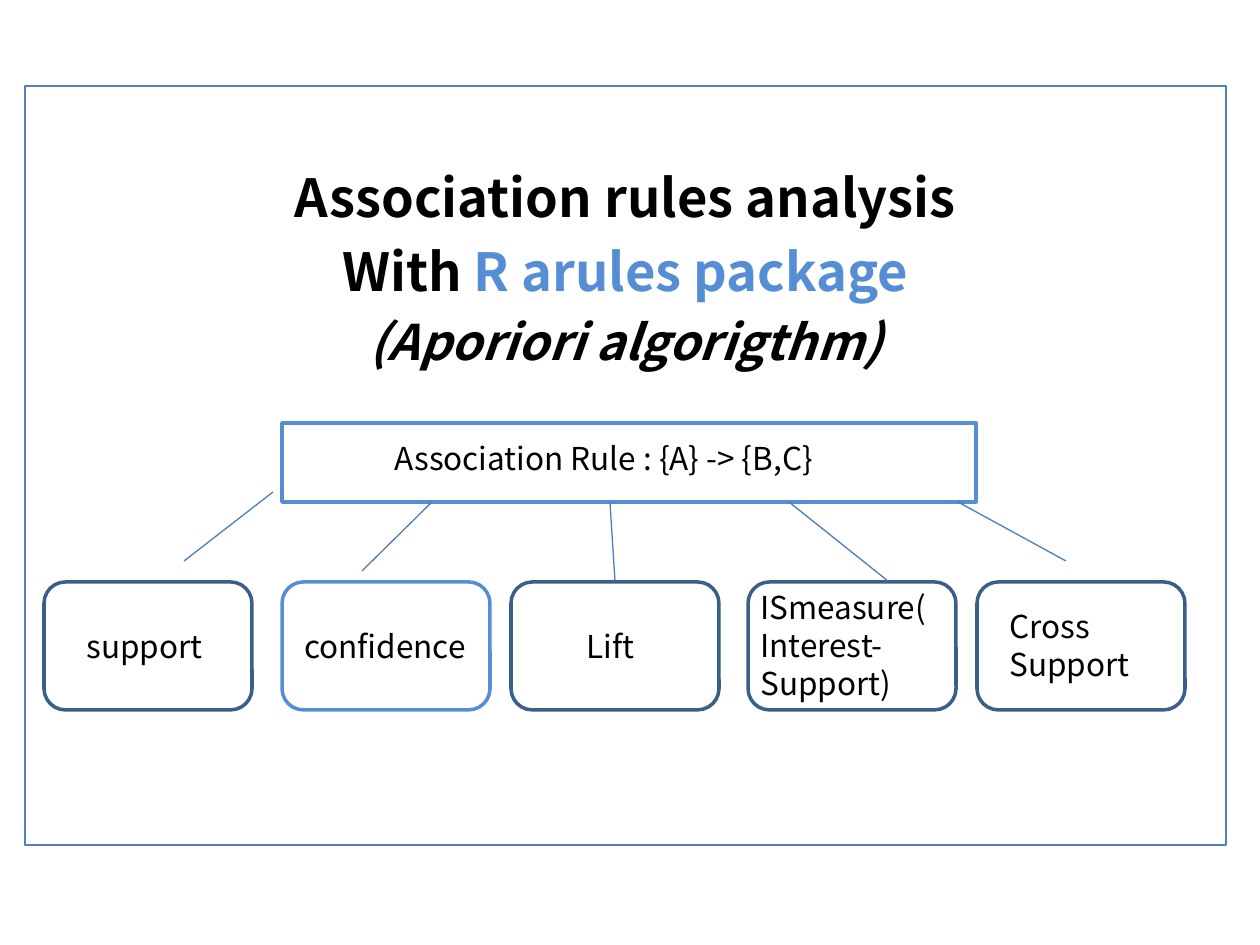
import pptx
import pptx.util
import pptx.dml.color
import pptx.enum.shapes
import pptx.enum.text
import pptx.oxml.ns
from lxml import etree

RGBColor = pptx.dml.color.RGBColor
SHAPE = pptx.enum.shapes.MSO_SHAPE
ALIGN = pptx.enum.text.PP_ALIGN
ANCHOR = pptx.enum.text.MSO_ANCHOR
AUTO_SIZE = pptx.enum.text.MSO_AUTO_SIZE

FRAME_BLUE = RGBColor(0x4F, 0x81, 0xBD)
BRIGHT_BLUE = RGBColor(0x55, 0x8E, 0xD5)
DARK_BLUE = RGBColor(0x3A, 0x5F, 0x8C)
BRANCH_BLUE = RGBColor(0x4B, 0x7E, 0xBC)
BLACK = RGBColor(0, 0, 0)
FONT = "Noto Sans CJK KR"
EMU_PER_PIXEL = 914400 / 126


def px(*lengths):
    """Turn pixel lengths into a list of EMU lengths."""
    return [pptx.util.Emu(round(length * EMU_PER_PIXEL)) for length in lengths]


def add_span(para, text, size, color=BLACK, bold=False, italic=False):
    """Add one formatted run to a paragraph."""
    span = para.add_run()
    span.text = text
    font = span.font
    font.name, font.size = FONT, pptx.util.Pt(size)
    font.bold, font.italic = bold, italic
    font.color.rgb = color


def add_outline(page, kind, area, color):
    """Add an unfilled shape with a two-point outline."""
    shape = page.shapes.add_shape(kind, *px(*area))
    shape.shadow.inherit = False
    shape.fill.background()
    shape.line.color.rgb = color
    shape.line.width = pptx.util.Pt(2)


def add_label(page, text, area, align=ALIGN.LEFT):
    """Add a wrapped 18-point label."""
    box = page.shapes.add_textbox(*px(*area))
    box.text_frame.word_wrap = True
    para = box.text_frame.paragraphs[0]
    para.alignment = align
    add_span(para, text, 18)


def add_title(page, area):
    """Place the framed title, whose frame encloses the whole diagram."""
    title = page.shapes.title
    title.left, title.top, title.width, title.height = px(*area)
    title.line.color.rgb = FRAME_BLUE
    title.line.width = pptx.util.Pt(0.75)
    frame = title.text_frame
    frame.word_wrap = True
    frame.auto_size = AUTO_SIZE.NONE
    frame.vertical_anchor = ANCHOR.TOP
    frame.margin_top = px(79)[0]
    lines = [
        (30, False, [("Association rules analysis", BLACK)]),
        (30, False, [("With ", BLACK), ("R arules package", BRIGHT_BLUE)]),
        (28, True, [("(Aporiori algorigthm)", BLACK)]),
    ]
    for index, (size, italic, spans) in enumerate(lines):
        para = frame.add_paragraph() if index else frame.paragraphs[0]
        para.alignment = ALIGN.CENTER
        para.space_before = pptx.util.Pt(0.2 * size if index else 0)
        for text, color in spans:
            add_span(para, text, size, color, True, italic)


def add_rule(page, left, top, width, height):
    """Place the association rule box and its text."""
    add_outline(page, SHAPE.RECTANGLE, (left, top, width, height), BRIGHT_BLUE)
    add_label(page, "Association Rule : {A} -> {B,C}", (left + 100, top + 10, 461, 89))


def add_measures(page, left, top, width, height):
    """Place the row of measures: box offset, outline, text and label area."""
    measures = [
        (0, DARK_BLUE, "support", (30, 39, 159, 50), ALIGN.LEFT),
        (238, BRIGHT_BLUE, "confidence", (10, 39, 189, 50), ALIGN.LEFT),
        (467, DARK_BLUE, "Lift", (20, 39, 159, 50), ALIGN.CENTER),
        (704, DARK_BLUE, "ISmeasure(Interest-Support)", (0, 0, 198, 127), ALIGN.LEFT),
        (933, DARK_BLUE, "Cross Support", (20, 19, 159, 89), ALIGN.LEFT),
    ]
    for offset, color, text, (dx, dy, label_width, label_height), align in measures:
        x = left + offset
        add_outline(page, SHAPE.ROUNDED_RECTANGLE, (x, top, width, height), color)
        add_label(page, text, (x + dx, top + dy, label_width, label_height), align)


def add_branches(page, left, top):
    """Draw the lines from the rule box down to the measures."""
    branches = [
        (-9, -10, -98, 59),
        (150, 0, 80, 69),
        (328, 0, 333, 79),
        (507, 0, 606, 79),
        (676, 0, 784, 59),
    ]
    for x1, y1, x2, y2 in branches:
        ends = px(left + x1, top + y1, left + x2, top + y2)
        line = page.shapes.add_connector(pptx.enum.shapes.MSO_CONNECTOR.STRAIGHT, *ends)
        line.line.color.rgb = BRANCH_BLUE
        line.line.width = pptx.util.Pt(0.75)
        etree.SubElement(line._element.spPr, pptx.oxml.ns.qn("a:effectLst"))


def main():
    """Build and save the deck."""
    deck = pptx.Presentation()
    deck.slide_width, deck.slide_height = px(1260, 945)
    page = deck.slides.add_slide(deck.slide_layouts[5])
    add_title(page, (25, 86, 1201, 759))
    add_rule(page, 282, 423, 694, 79)
    add_measures(page, 44, 582, 208, 128)
    add_branches(page, 282, 502)
    deck.save("out.pptx")


main()
